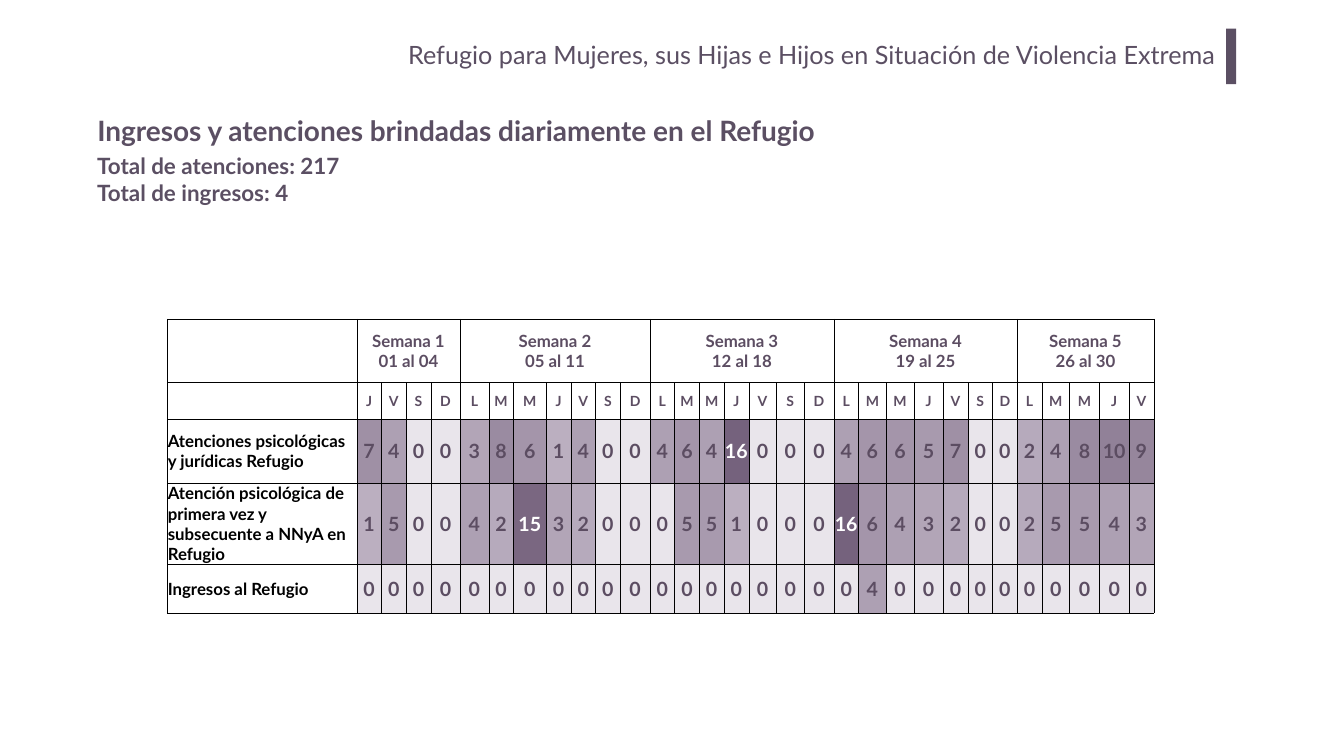
from lxml.etree import SubElement
from pptx import Presentation
from pptx.dml.color import RGBColor
from pptx.enum.shapes import MSO_SHAPE
from pptx.enum.text import MSO_ANCHOR, MSO_AUTO_SIZE, PP_ALIGN
from pptx.oxml.ns import qn
from pptx.util import Pt

# Content
HEADER = "Refugio para Mujeres, sus Hijas e Hijos en Situación de Violencia Extrema"
TITLE = "Ingresos y atenciones brindadas diariamente en el Refugio"
TOTALS = ["Total de atenciones: 217", "Total de ingresos: 4"]
WEEKS = [  # heading, day initials
    ("Semana 1\n01 al 04", "JVSD"),
    ("Semana 2\n05 al 11", "LMMJVSD"),
    ("Semana 3\n12 al 18", "LMMJVSD"),
    ("Semana 4\n19 al 25", "LMMJVSD"),
    ("Semana 5\n26 al 30", "LMMJV"),
]
SERIES = [
    ("Atenciones psicológicas y jurídicas Refugio",
     [7, 4, 0, 0, 3, 8, 6, 1, 4, 0, 0, 4, 6, 4, 16, 0, 0, 0,
      4, 6, 6, 5, 7, 0, 0, 2, 4, 8, 10, 9]),
    ("Atención psicológica de primera vez y subsecuente a NNyA en Refugio",
     [1, 5, 0, 0, 4, 2, 15, 3, 2, 0, 0, 0, 5, 5, 1, 0, 0, 0,
      16, 6, 4, 3, 2, 0, 0, 2, 5, 5, 4, 3]),
    ("Ingresos al Refugio", [0] * 19 + [4] + [0] * 10),
]

# Lengths in px, 100 to the inch
PX = 9144
SLIDE = (2667, 1500)
BAR_BOX = (2433, 57, 20, 110)
TITLE_BOX = (183, 191, 2185, 145)
HEADER_BOX = (401, 67, 2030, 102)
TOTALS_BOX = (183, 297, 564, 118)
TABLE_AT = (332, 633)
LABEL_WIDTH = 376
DAY_WIDTHS = [49, 49, 49, 58, 57, 49, 65, 49, 49, 49, 59, 49, 49, 49, 49,
              55, 55, 59, 49, 55, 55, 58, 49, 49, 49, 49, 55, 59, 59, 49]
ROW_HEIGHTS = [126, 73, 126, 149, 97]

THEME = {
    "font": "Lato", "accent": "5B4F63", "ink": "5C4D62", "label": "000000",
    "paper": "FFFFFF", "border": "000000", "border_pt": 0.5,
    "zero": "E9E5EB", "low": "BBAFC0", "high": "75627D",
    "title": 40, "header": 36, "totals": 32, "week": 24, "day": 20, "value": 28,
}
PEAK, WHITE_TEXT_FROM = 16, 15


def px(values):
    return [v * PX for v in values]


def rgb(name):
    return RGBColor.from_string(THEME.get(name, name))


def write(tf, lines, size, color, align=PP_ALIGN.LEFT, bold=True, spacing=None):
    for i, line in enumerate(lines):
        p = tf.add_paragraph() if i else tf.paragraphs[0]
        p.text = line
        for key, value in {"alignment": align, "line_spacing": spacing}.items():
            setattr(p, key, value)
        for r in p.runs:
            fmt = {"name": THEME["font"], "size": Pt(THEME[size]), "bold": bold}
            for key, value in fmt.items():
                setattr(r.font, key, value)
            r.font.color.rgb = rgb(color)


def set_insets(target, left, top, right, bottom):
    sides = {"left": left, "top": top, "right": right, "bottom": bottom}
    for side, value in sides.items():
        setattr(target, f"margin_{side}", value * PX)


def add_text(s, box, lines, size, inset=(10, 5), **fmt):
    tf = s.shapes.add_textbox(*px(box)).text_frame
    tf.word_wrap = True
    set_insets(tf, *inset, *inset)
    write(tf, lines, size, "accent", **fmt)


def heat(value):
    """Zero has its own tint; 1 to PEAK runs evenly from low to high."""
    if value == 0:
        return THEME["zero"]
    share = (value - 1) / (PEAK - 1)
    ends = zip(rgb("low"), rgb("high"))
    return "".join(f"{round(a + (b - a) * share):02X}" for a, b in ends)


def style_cell(cell, fill):
    props = cell._tc.get_or_add_tcPr()
    for side in "LRTB":
        line = SubElement(props, qn(f"a:ln{side}"), w=str(Pt(THEME["border_pt"])))
        solid = SubElement(line, qn("a:solidFill"))
        SubElement(solid, qn("a:srgbClr"), val=THEME["border"])
    cell.fill.solid()
    cell.fill.fore_color.rgb = rgb(fill)
    cell.vertical_anchor = MSO_ANCHOR.MIDDLE
    set_insets(cell, 1, 1, 1, 0)


def add_calendar(s):
    widths = [LABEL_WIDTH, *DAY_WIDTHS]
    frame = s.shapes.add_table(len(ROW_HEIGHTS), len(widths),
                               *px((*TABLE_AT, sum(widths), sum(ROW_HEIGHTS))))
    table = frame.table
    table.first_row = table.horz_banding = False
    for col, width in zip(table.columns, widths):
        col.width = width * PX
    for row, height in zip(table.rows, ROW_HEIGHTS):
        row.height = height * PX
    for cell in table.iter_cells():
        style_cell(cell, "paper")

    def put(row, col, text, size, color="ink", align=PP_ALIGN.CENTER):
        cell = table.cell(row, col)
        write(cell.text_frame, [text], size, color, align)
        return cell

    start = 1
    for heading, days in WEEKS:
        week = put(0, start, heading, "week")
        week.merge(table.cell(0, start + len(days) - 1))
        for col, day in enumerate(days, start):
            put(1, col, day, "day")
        start += len(days)
    for row, (label, values) in enumerate(SERIES, 2):
        put(row, 0, label, "week", "label", PP_ALIGN.LEFT)
        for col, value in enumerate(values, 1):
            color = "paper" if value >= WHITE_TEXT_FROM else "ink"
            cell = put(row, col, str(value), "value", color)
            cell.fill.fore_color.rgb = rgb(heat(value))


def main():
    prs = Presentation()
    prs.slide_width, prs.slide_height = px(SLIDE)
    s = prs.slides.add_slide(prs.slide_layouts[5])

    title = s.shapes.title
    for key, value in zip(("left", "top", "width", "height"), px(TITLE_BOX)):
        setattr(title, key, value)
    tf = title.text_frame
    tf.auto_size, tf.word_wrap = MSO_AUTO_SIZE.NONE, True
    tf.vertical_anchor = MSO_ANCHOR.MIDDLE
    write(tf, [TITLE], "title", "accent", PP_ALIGN.JUSTIFY, spacing=0.9)

    bar = s.shapes.add_shape(MSO_SHAPE.RECTANGLE, *px(BAR_BOX))
    bar.shadow.inherit = False
    bar.fill.solid()
    bar.fill.fore_color.rgb = rgb("accent")
    bar.line.fill.background()

    add_text(s, HEADER_BOX, [HEADER], "header", (20, 10),
             align=PP_ALIGN.RIGHT, bold=False)
    add_text(s, TOTALS_BOX, TOTALS, "totals")
    add_calendar(s)
    prs.save("out.pptx")


if __name__ == "__main__":
    main()
